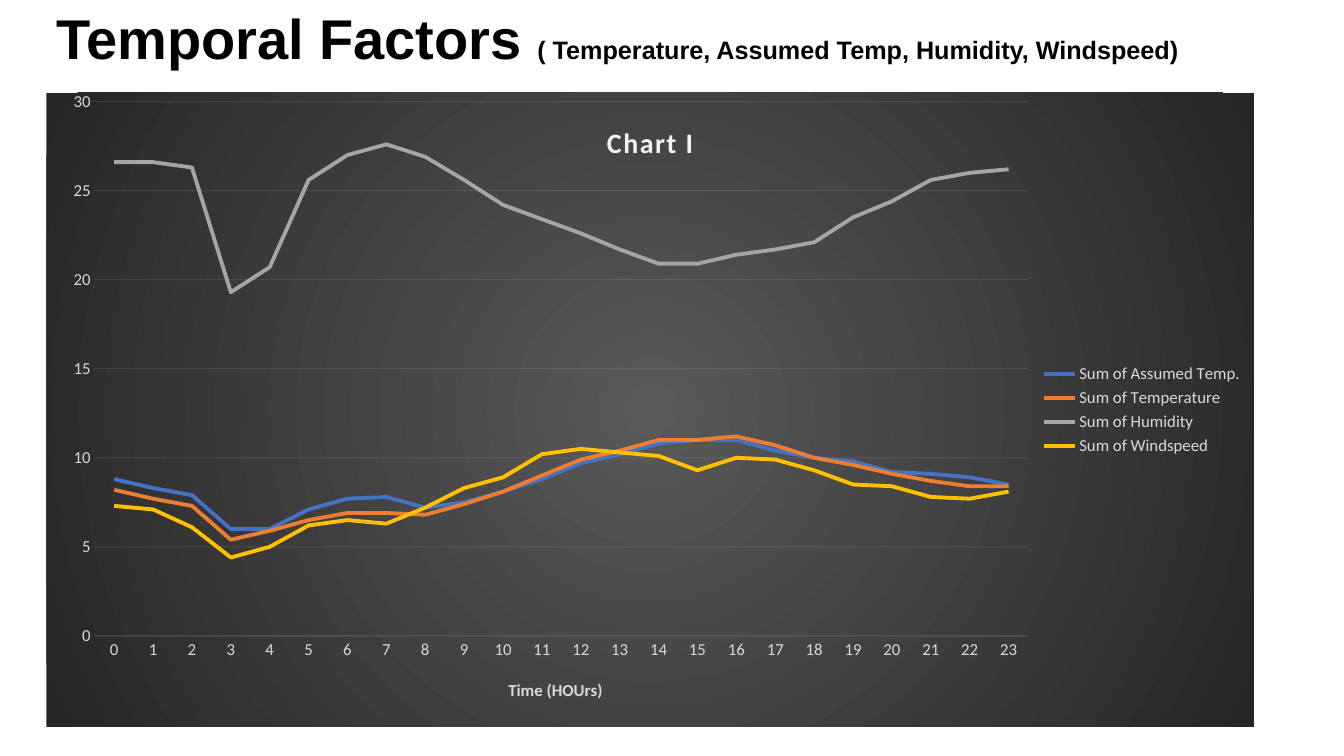
from lxml import etree
from pptx import Presentation
from pptx.chart import data as chart_data
from pptx.dml import color
from pptx.enum import chart as ch, text
from pptx.oxml import ns
from pptx.util import Cm, Pt

TITLE = [("Temporal Factors ", 40), ("( Temperature, Assumed Temp, Humidity, Windspeed)", 18)]
CHART_TITLE = "Chart I"
HOUR_TITLE = "Time (HOUrs)"
SERIES = [
    ("Sum of Assumed Temp.", "4472C4",
     (8.8, 8.3, 7.9, 6, 6, 7.1, 7.7, 7.8, 7.2, 7.5, 8.1, 8.8,
      9.7, 10.2, 10.8, 11, 11, 10.4, 10, 9.8, 9.2, 9.1, 8.9, 8.5)),
    ("Sum of Temperature", "ED7D31",
     (8.2, 7.7, 7.3, 5.4, 5.9, 6.5, 6.9, 6.9, 6.8, 7.4, 8.1, 9,
      9.9, 10.4, 11, 11, 11.2, 10.7, 10, 9.6, 9.1, 8.7, 8.4, 8.4)),
    ("Sum of Humidity", "A5A5A5",
     (26.6, 26.6, 26.3, 19.3, 20.7, 25.6, 27, 27.6, 26.9, 25.6, 24.2, 23.4,
      22.6, 21.7, 20.9, 20.9, 21.4, 21.7, 22.1, 23.5, 24.4, 25.6, 26, 26.2)),
    ("Sum of Windspeed", "FFC000",
     (7.3, 7.1, 6.1, 4.4, 5, 6.2, 6.5, 6.3, 7.2, 8.3, 8.9, 10.2,
      10.5, 10.3, 10.1, 9.3, 10, 9.9, 9.3, 8.5, 8.4, 7.8, 7.7, 8.1)),
]
LABEL = "D9D9D9"
GRID = "F2F2F2"
GRADIENT = [(0, "595959"), (100, "262626")]


def apply(target, formats):
    for name, value in formats.items():
        setattr(target, name, value)


def rgb(code):
    return color.RGBColor.from_string(code)


def style_font(font, size, code, name="Calibri", bold=False):
    apply(font, {"size": Pt(size), "name": name, "bold": bold})
    font.color.rgb = rgb(code)


def style_line(line, code, width, opacity=100):
    line.width = Pt(width)
    line.color.rgb = rgb(code)
    if opacity < 100:
        swatch = line.fill._xPr.find(".//" + ns.qn("a:srgbClr"))
        etree.SubElement(swatch, ns.qn("a:alpha"), val=str(opacity * 1000))


def place(parent, index, **fractions):
    for old in parent.findall(ns.qn("c:layout")):
        parent.remove(old)
    layout = etree.Element(ns.qn("c:layout"))
    manual = etree.SubElement(layout, ns.qn("c:manualLayout"))
    settings = {"xMode": "edge", "yMode": "edge", **fractions}
    if "w" in fractions:
        settings = {"layoutTarget": "inner", **settings}
    for name, value in settings.items():
        etree.SubElement(manual, ns.qn("c:" + name), val=str(value))
    parent.insert(index, layout)


def set_title(owner, words, size, code, spacing, x, y):
    title = getattr(owner, "chart_title", None) or owner.axis_title
    span = title.text_frame.paragraphs[0].add_run()
    span.text = words
    style_font(span.font, size, code, bold=True)
    span.font._element.set("spc", str(spacing))
    place(title._element, 1, x=x, y=y)
    return title


def fill_background(space):
    stops = "".join(f'<a:gs pos="{pos * 1000}"><a:srgbClr val="{code}"/></a:gs>'
                    for pos, code in GRADIENT)
    space.find(ns.qn("c:chart")).addnext(etree.fromstring(
        f'<c:spPr {ns.nsdecls("c", "a")}><a:gradFill><a:gsLst>{stops}</a:gsLst>'
        '<a:path path="circle"><a:fillToRect l="50000" t="50000" r="50000" b="50000"/></a:path>'
        '</a:gradFill><a:ln><a:noFill/></a:ln></c:spPr>'))
    space.insert(1, etree.Element(ns.qn("c:roundedCorners"), val="0"))


def add_title(page):
    box = page.shapes.title
    apply(box, {"left": Cm(1.17), "top": Cm(-0.03), "width": Cm(31.83), "height": Cm(1.96)})
    apply(box.text_frame, {"word_wrap": True, "vertical_anchor": text.MSO_ANCHOR.TOP,
                           "auto_size": text.MSO_AUTO_SIZE.NONE})
    para = box.text_frame.paragraphs[0]
    apply(para, {"alignment": text.PP_ALIGN.LEFT, "line_spacing": 1.0, "space_before": Pt(0)})
    for words, size in TITLE:
        span = para.add_run()
        span.text = words
        style_font(span.font, size, "000000", "Arial", True)


def add_line_chart(page):
    table = chart_data.CategoryChartData()
    table.categories = [str(hour) for hour in range(24)]
    for name, _, values in SERIES:
        table.add_series(name, values)
    chart = page.shapes.add_chart(ch.XL_CHART_TYPE.LINE, Cm(1.17), Cm(2.31),
                                  Cm(30.43), Cm(16), table).chart
    style_font(chart.font, 10, "000000")
    chart.plots[0].vary_by_categories = False
    for series, (_, code, _) in zip(chart.plots[0].series, SERIES):
        series.smooth = False
        style_line(series.format.line, code, 2.75)

    hours, values = chart.category_axis, chart.value_axis
    for axis in (hours, values):
        apply(axis, {"major_tick_mark": ch.XL_TICK_MARK.NONE,
                     "minor_tick_mark": ch.XL_TICK_MARK.NONE})
        style_font(axis.tick_labels.font, 12, LABEL)
    apply(values, {"minimum_scale": 0, "maximum_scale": 30, "major_unit": 5,
                   "has_major_gridlines": True})
    values.format.line.fill.background()
    for line in (hours.format.line, values.major_gridlines.format.line):
        style_line(line, GRID, 0.75, 10)

    chart.has_legend = True
    apply(chart.legend, {"position": ch.XL_LEGEND_POSITION.RIGHT, "include_in_layout": False})
    style_font(chart.legend.font, 12, LABEL)
    heading = set_title(chart, CHART_TITLE, 20, "F2F2F2", 100, 0.46, 0.04)
    heading._element.find(ns.qn("c:overlay")).set("val", "1")
    set_title(hours, HOUR_TITLE, 12, LABEL, 0, 0.38, 0.92)
    space = chart._chartSpace
    place(space.find(".//" + ns.qn("c:plotArea")), 0, x=0.04, y=0.014, w=0.773, h=0.843)
    fill_background(space)


def main():
    deck = Presentation()
    apply(deck, {"slide_width": Cm(33.87), "slide_height": Cm(19.05)})
    page = deck.slides.add_slide(deck.slide_layouts[5])
    add_line_chart(page)
    add_title(page)
    deck.save("out.pptx")


if __name__ == "__main__":
    main()
